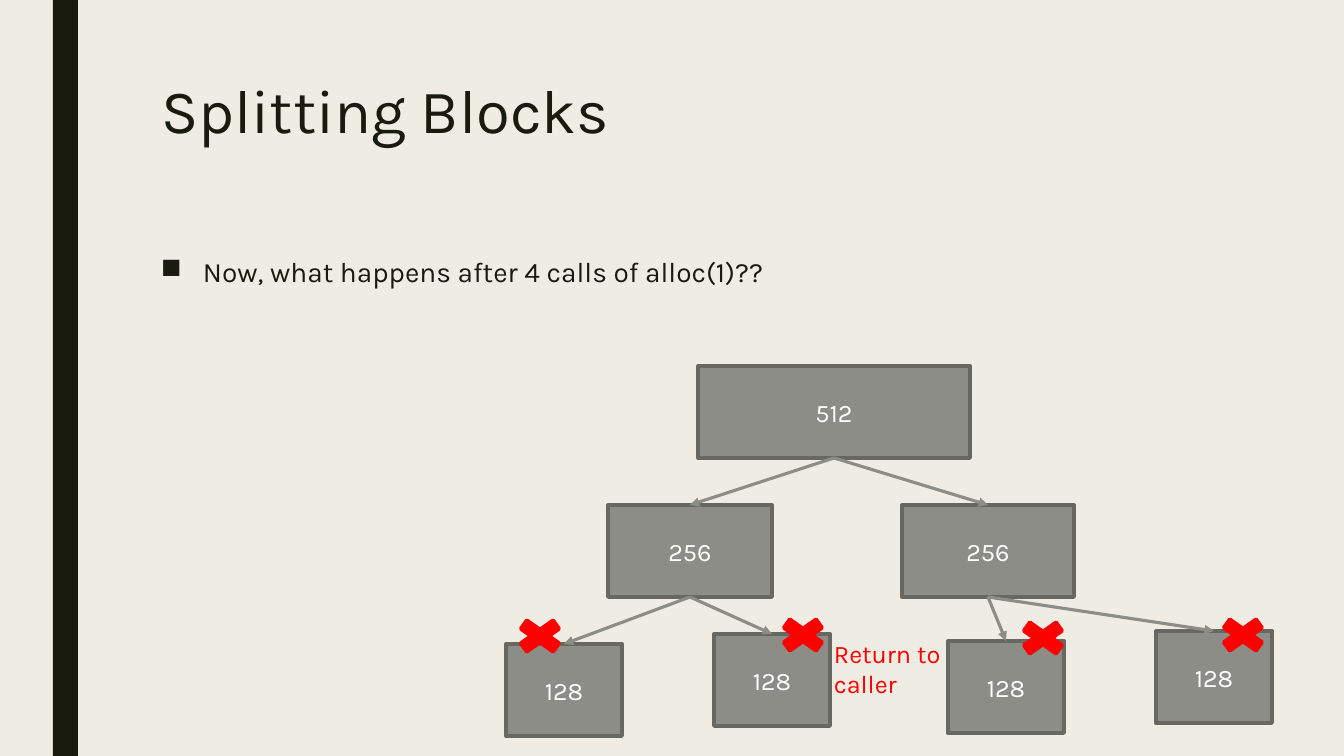
"""Build the Splitting Blocks slide, a tree of memory blocks."""
from dataclasses import dataclass
from typing import Any, NamedTuple, Optional

from lxml.etree import SubElement
from pptx import Presentation
from pptx.dml.color import RGBColor
from pptx.enum.shapes import MSO_CONNECTOR, MSO_SHAPE
from pptx.enum.text import MSO_ANCHOR, PP_ALIGN
from pptx.oxml.ns import qn
from pptx.util import Emu, Pt

SCALE = 914400 / 100.8


@dataclass(frozen=True)
class Theme:
    """Colours, type sizes and line widths of the slide."""
    paper: RGBColor = RGBColor(0xEF, 0xED, 0xE3)
    ink: RGBColor = RGBColor(0x19, 0x1B, 0x0E)
    block: RGBColor = RGBColor(0x8C, 0x8D, 0x86)
    edge: RGBColor = RGBColor(0x68, 0x68, 0x63)
    white: RGBColor = RGBColor(0xFF, 0xFF, 0xFF)
    red: RGBColor = RGBColor(0xFF, 0x00, 0x00)
    font: str = "Karla"
    title: int = 44
    body: int = 20
    label: int = 18
    border: float = 2.75
    arrow: float = 2.25


class Box(NamedTuple):
    """A rectangle in pixels."""
    left: int
    top: int
    width: int
    height: int


class Block(NamedTuple):
    """A memory block and the index of the block it was split from."""
    size: str
    box: Box
    parent: Optional[int] = None


THEME = Theme()
HIGH = 92
LEAF = 116
BLOCKS = (
    Block("512", Box(698, 366, 272, HIGH)),
    Block("256", Box(608, 505, 164, HIGH), 0),
    Block("256", Box(902, 505, 172, HIGH), 0),
    Block("128", Box(506, 644, LEAF, HIGH), 1),
    Block("128", Box(714, 634, LEAF, HIGH), 1),
    Block("128", Box(948, 641, LEAF, HIGH), 2),
    Block("128", Box(1156, 631, LEAF, HIGH), 2),
)
MARKS = ((509, 614), (772, 613), (1012, 616), (1212, 613))


def px(count: int) -> Emu:
    """Turn pixels into EMU."""
    return Emu(round(count * SCALE))


def place(box: Box) -> tuple[Emu, ...]:
    """Turn a pixel box into EMU lengths."""
    return tuple(px(side) for side in box)


def write(shape: Any, text: str, size: int, color: RGBColor) -> Any:
    """Set and format the text of a shape and return its paragraph."""
    frame = shape.text_frame
    frame.text = text
    frame.word_wrap = True
    frame.vertical_anchor = MSO_ANCHOR.TOP
    para = frame.paragraphs[0]
    font = para.runs[0].font
    font.name, font.size, font.color.rgb = THEME.font, Pt(size), color
    return para


def draw(slide: Any, kind: MSO_SHAPE, box: Box, fill: RGBColor,
         edge: Optional[RGBColor] = None) -> Any:
    """Add a flat preset shape, outlined if an edge colour is given."""
    shape = slide.shapes.add_shape(kind, *place(box))
    shape.shadow.inherit = False
    shape.fill.solid()
    shape.fill.fore_color.rgb = fill
    if edge is None:
        shape.line.fill.background()
    else:
        shape.line.color.rgb = edge
        shape.line.width = Pt(THEME.border)
    return shape


def node(slide: Any, block: Block) -> Any:
    """Add a block with its size in the middle."""
    shape = draw(slide, MSO_SHAPE.RECTANGLE, block.box, THEME.block, THEME.edge)
    para = write(shape, block.size, THEME.label, THEME.white)
    para.alignment = PP_ALIGN.CENTER
    shape.text_frame.vertical_anchor = MSO_ANCHOR.MIDDLE
    return shape


def link(slide: Any, start: Any, end: Any) -> None:
    """Add an arrow from the bottom of one block to the top of another."""
    line = slide.shapes.add_connector(MSO_CONNECTOR.STRAIGHT, 0, 0, 0, 0)
    line.begin_connect(start, 2)
    line.end_connect(end, 0)
    line.line.color.rgb = THEME.block
    line.line.width = Pt(THEME.arrow)
    SubElement(line.line._get_or_add_ln(), qn("a:tailEnd"), type="triangle")
    SubElement(line._element.spPr, qn("a:effectLst"))


def bullet(para: Any) -> None:
    """Give a paragraph a square bullet and a hanging indent."""
    props = para._p.get_or_add_pPr()
    props.set("marL", str(px(42)))
    props.set("indent", str(px(-42)))
    SubElement(props, qn("a:buChar"), char="■")


def build() -> None:
    """Build and save the slide."""
    deck = Presentation()
    deck.slide_width, deck.slide_height = px(1344), px(756)
    slide = deck.slides.add_slide(deck.slide_layouts[5])
    slide.background.fill.solid()
    slide.background.fill.fore_color.rgb = THEME.paper
    draw(slide, MSO_SHAPE.RECTANGLE, Box(53, 0, 25, 756), THEME.ink)

    title = slide.shapes.title
    title.left, title.top, title.width, title.height = place(Box(151, 76, 1058, 163))
    head = write(title, "Splitting Blocks", THEME.title, THEME.ink)
    head.alignment = PP_ALIGN.LEFT
    head.line_spacing = 0.89

    body = slide.shapes.add_textbox(*place(Box(151, 252, 1058, 395)))
    para = write(body, "Now, what happens after 4 calls of alloc(1)??",
                 THEME.body, THEME.ink)
    para.line_spacing = 0.94
    para.space_before, para.space_after = Pt(10), Pt(2)
    bullet(para)

    nodes = [node(slide, block) for block in BLOCKS]
    for block, shape in zip(BLOCKS, nodes):
        if block.parent is not None:
            link(slide, nodes[block.parent], shape)

    note = slide.shapes.add_textbox(*place(Box(824, 633, 175, 72)))
    write(note, "Return to caller", THEME.label, THEME.red)
    note.text_frame.margin_right = px(50)
    for left, top in MARKS:
        draw(slide, MSO_SHAPE.MATH_MULTIPLY, Box(left, top, 62, 44),
             THEME.red, THEME.red)
    deck.save("out.pptx")


build()
